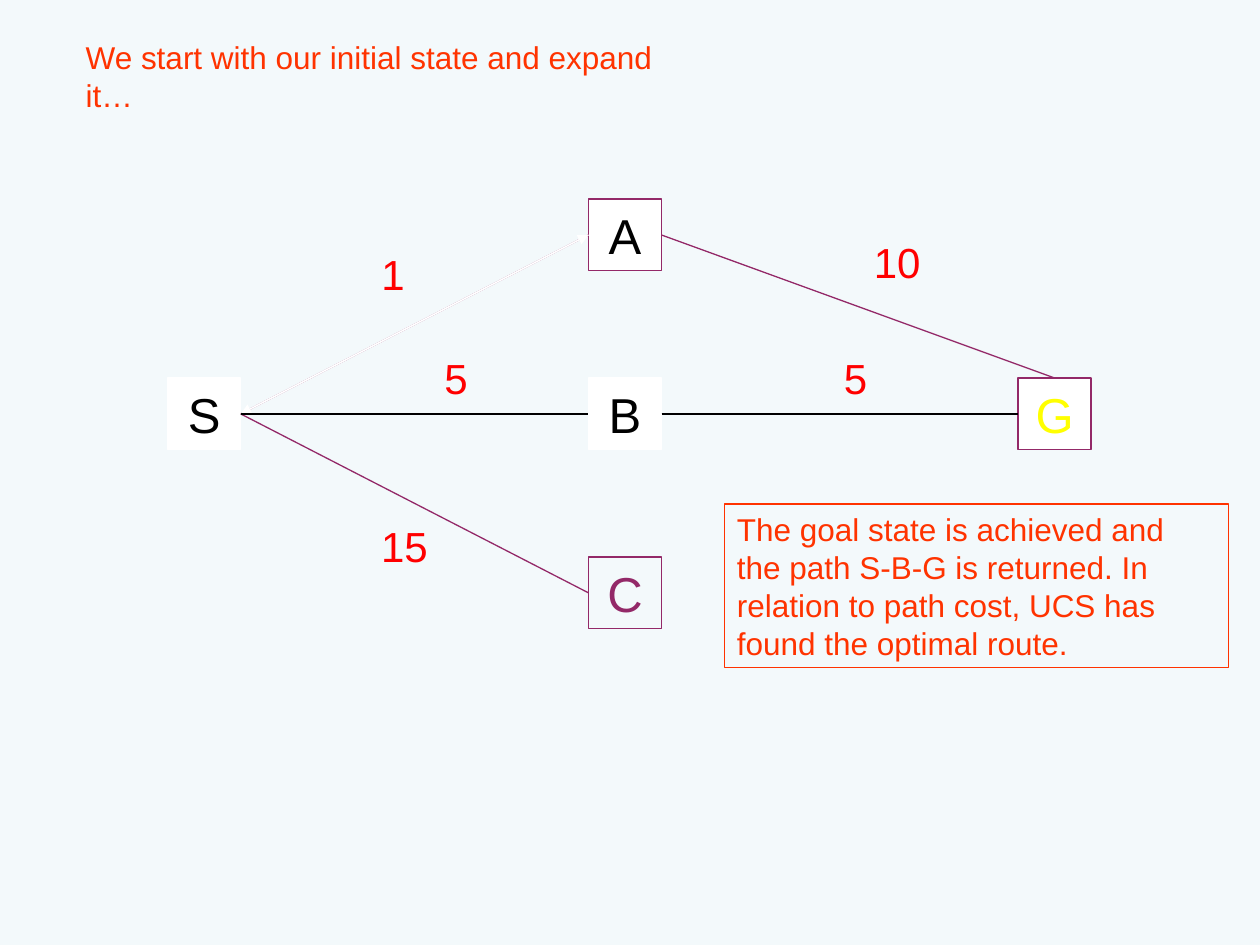
from lxml import etree
from pptx import Presentation
from pptx import util as u
from pptx.dml.color import RGBColor
from pptx.enum import shapes, text
from pptx.oxml.ns import qn

THEME = {
    "font": "Arial",
    "background": "F3F9FB", "white": "FFFFFF", "black": "000000",
    "plum": "932968", "goal": "FFFF00", "cost": "FF0000", "note": "FF3300",
    "node_size": 28, "cost_size": 24, "note_size": 18, "line_width": 0.75,
}
TOP, LEFT, RIGHT = 0, 1, 3


def color(name):
    return RGBColor.from_string(THEME[name])


def write(box, words, size, ink, align):
    frame = box.text_frame
    frame.word_wrap = True
    frame.auto_size = text.MSO_AUTO_SIZE.SHAPE_TO_FIT_TEXT
    frame.vertical_anchor = text.MSO_ANCHOR.TOP
    frame.margin_left = frame.margin_right = u.Inches(0.1)
    frame.margin_top = frame.margin_bottom = u.Inches(0.05)
    frame.text = words
    para = frame.paragraphs[0]
    para.alignment = align
    para.line_spacing = 1.0
    para.space_before = u.Pt(0)
    para.font.name = THEME["font"]
    para.font.size = u.Pt(THEME[size])
    para.font.color.rgb = color(ink)


deck = Presentation()
deck.slide_width, deck.slide_height = u.Inches(10), u.Inches(7.5)
page = deck.slides.add_slide(deck.slide_layouts.get_by_name("Title Only"))
page.background.fill.solid()
page.background.fill.fore_color.rgb = color("background")

# Title
title = page.shapes.title
title.left, title.top = u.Inches(0.58), u.Inches(0.25)
title.width, title.height = u.Inches(5.08), u.Inches(0.7)
write(title, "We start with our initial state and expand it…",
      "note_size", "note", text.PP_ALIGN.LEFT)

# States and the closing note: left, top, width, height, fill, line, ink
boxes = {
    "S": (1.33, 3, 0.58, 0.57, "white", "white", "black"),
    "A": (4.67, 1.58, 0.58, 0.57, "white", "plum", "black"),
    "B": (4.67, 3, 0.58, 0.57, "white", "white", "black"),
    "C": (4.67, 4.42, 0.58, 0.57, None, "plum", "plum"),
    "G": (8.08, 3, 0.58, 0.57, "white", "plum", "goal"),
    "The goal state is achieved and the path S-B-G is returned. "
    "In relation to path cost, UCS has found the optimal route.":
        (5.75, 4, 4, 1.3, None, "note", "note"),
}
nodes = {}
for words, (left, top, width, height, fill, line, ink) in boxes.items():
    box = page.shapes.add_shape(
        shapes.MSO_SHAPE.RECTANGLE, u.Inches(left), u.Inches(top),
        u.Inches(width), u.Inches(height))
    box.shadow.inherit = False
    if fill:
        box.fill.solid()
        box.fill.fore_color.rgb = color(fill)
    else:
        box.fill.background()
    box.line.color.rgb = color(line)
    box.line.width = u.Pt(THEME["line_width"])
    if ink == "note":
        write(box, words, "note_size", ink, text.PP_ALIGN.LEFT)
    else:
        write(box, words, "node_size", ink, text.PP_ALIGN.CENTER)
    nodes[words] = box

# Edges: plum at first, then overdrawn as the search visits them
edges = [
    ("S", RIGHT, "B", LEFT, "plum", False),
    ("S", RIGHT, "A", LEFT, "plum", False),
    ("S", RIGHT, "C", LEFT, "plum", False),
    ("S", RIGHT, "A", LEFT, "white", True),
    ("A", RIGHT, "G", TOP, "plum", False),
    ("A", LEFT, "S", RIGHT, "white", True),
    ("S", RIGHT, "B", LEFT, "black", False),
    ("B", RIGHT, "G", LEFT, "plum", False),
    ("B", RIGHT, "G", LEFT, "black", False),
]
for start, start_side, end, end_side, ink, arrow in edges:
    edge = page.shapes.add_connector(shapes.MSO_CONNECTOR.STRAIGHT, 0, 0, 0, 0)
    edge.begin_connect(nodes[start], start_side)
    edge.end_connect(nodes[end], end_side)
    edge.line.color.rgb = color(ink)
    edge.line.width = u.Pt(THEME["line_width"])
    if arrow:
        etree.SubElement(edge.line._get_or_add_ln(), qn("a:tailEnd"), type="triangle")
    etree.SubElement(edge._element.spPr, qn("a:effectLst"))

# Path costs
costs = [("1", 2.83, 1.92), ("15", 2.92, 4.08), ("5", 3.33, 2.75),
         ("10", 6.83, 1.83), ("5", 6.5, 2.75)]
for cost, left, top in costs:
    label = page.shapes.add_textbox(
        u.Inches(left), u.Inches(top), u.Inches(0.58), u.Inches(0.5))
    write(label, cost, "cost_size", "cost", text.PP_ALIGN.CENTER)

deck.save("out.pptx")
